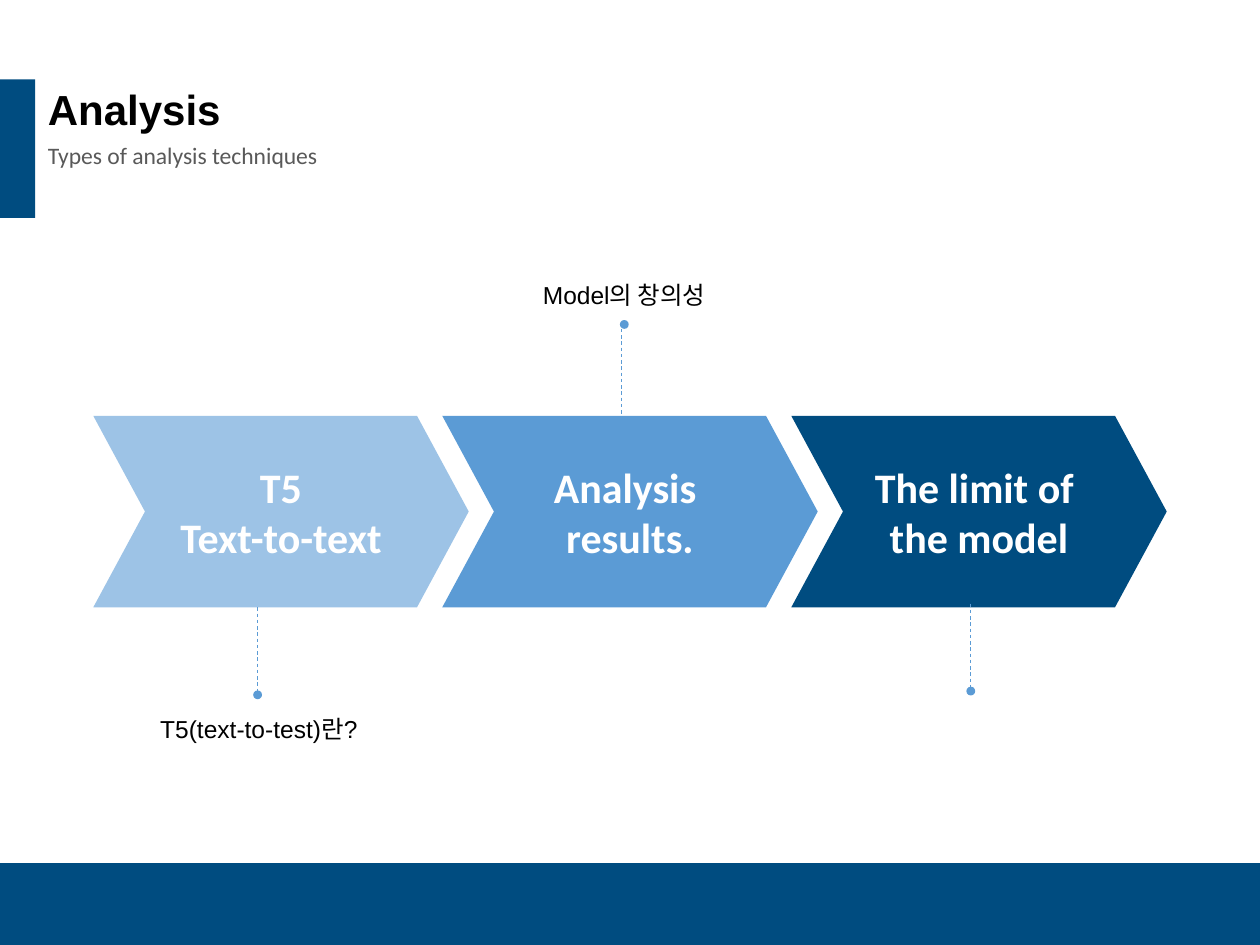
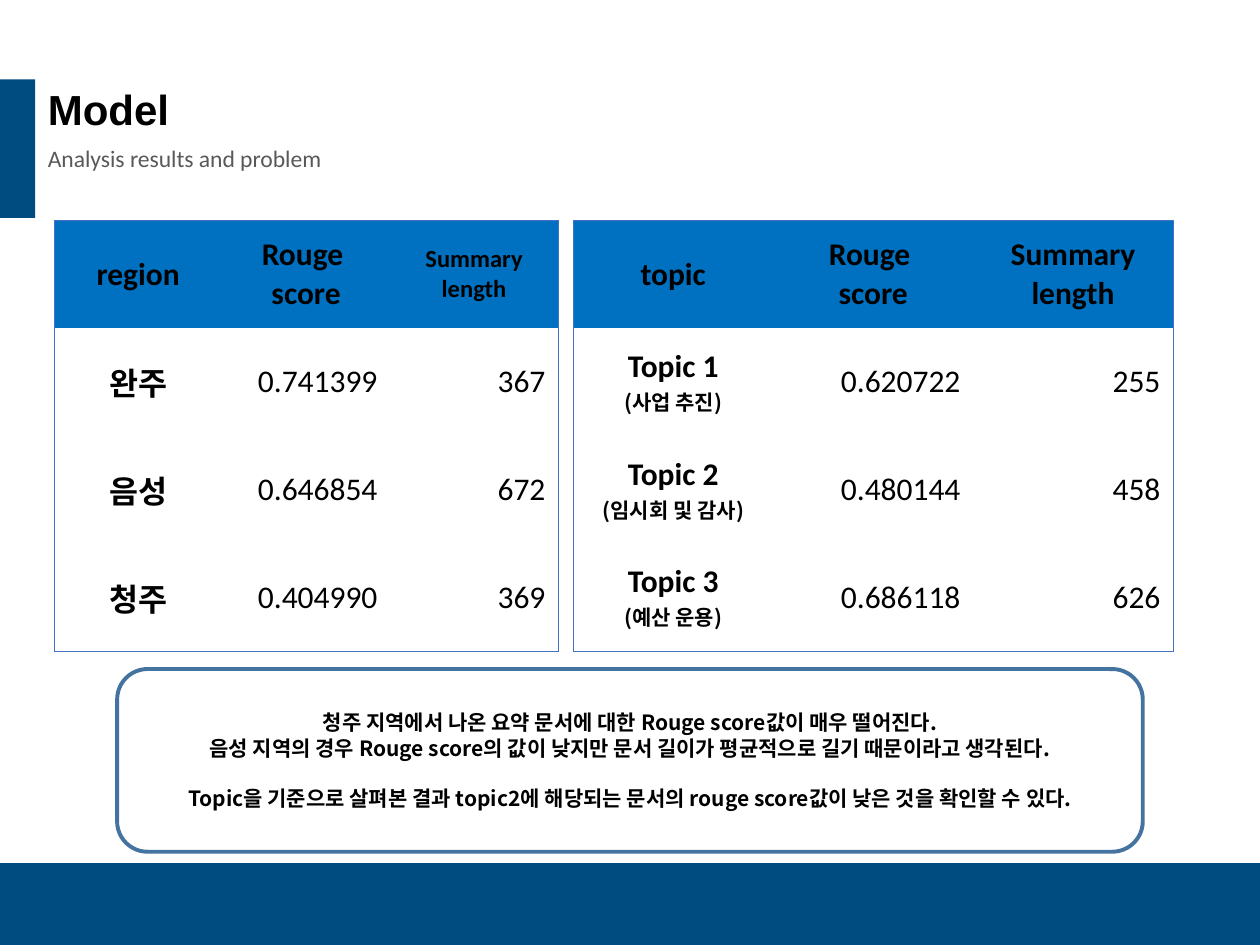
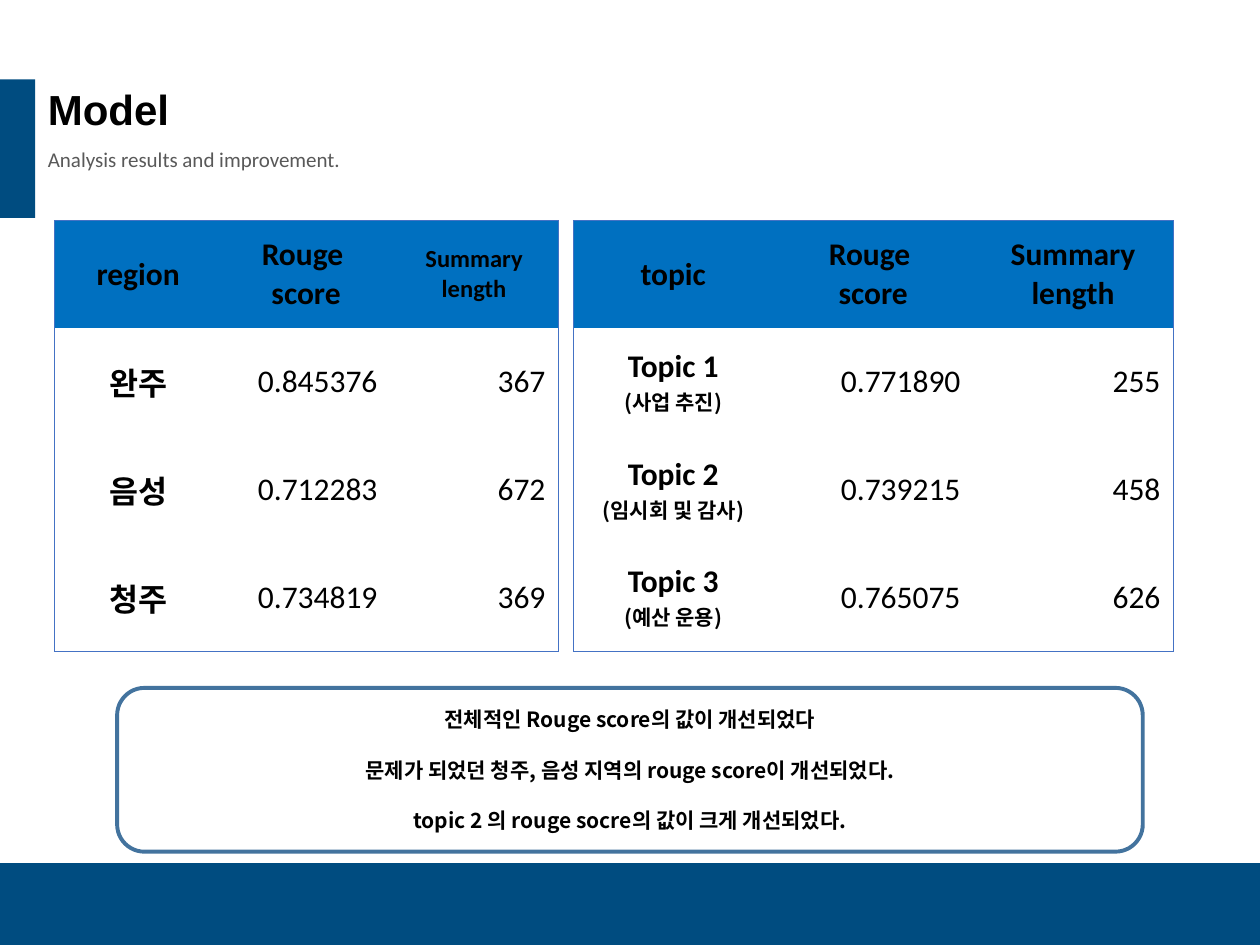
"""Build three slides on text summarisation: analysis steps, model scores and improved scores."""
from dataclasses import dataclass
from typing import NamedTuple, Optional

from lxml.etree import SubElement
from pptx import Presentation
from pptx.dml.color import RGBColor
from pptx.enum.dml import MSO_LINE
from pptx.enum.shapes import MSO_CONNECTOR, MSO_SHAPE as Preset
from pptx.enum.text import MSO_ANCHOR as Anchor, MSO_AUTO_SIZE, PP_ALIGN as Align
from pptx.oxml.ns import qn
from pptx.util import Inches, Pt

COLUMN, ROW = Inches(10) // 100, Inches(7.5) // 75
PLAIN_TABLE_STYLE = "{2D5ABB26-0587-4C30-8999-92F81FD0307C}"


class TextStyle(NamedTuple):
    """Type settings of a line of text."""
    size: float
    font: str = "Calibri"
    color: str = "000000"
    bold: bool = False


@dataclass(frozen=True)
class Theme:
    """Colours and type styles shared by all slides."""
    navy: str = "004C80"
    blue: str = "5B9BD5"
    pale: str = "9DC3E6"
    header: str = "0070C0"
    table_edge: str = "4472C4"
    note_edge: str = "43739E"
    asian_font: str = "Noto Sans CJK KR"
    title: TextStyle = TextStyle(24, "Arial", bold=True)
    step: TextStyle = TextStyle(24, color="FFFFFF", bold=True)
    label: TextStyle = TextStyle(14, "Arial")
    heading: TextStyle = TextStyle(18, bold=True)
    small_heading: TextStyle = TextStyle(14, bold=True)
    value: TextStyle = TextStyle(18)
    note: TextStyle = TextStyle(12, "Noto Sans CJK KR", bold=True)
    muted: str = "595959"
    note_gap: float = 14.4


THEME = Theme()


class Box(NamedTuple):
    """Place in grid columns and rows."""
    column: float
    row: float
    columns: float
    rows: float

    def emu(self) -> tuple[int, int, int, int]:
        """Return left, top, width and height in EMU."""
        return (int(self.column * COLUMN), int(self.row * ROW),
                int(self.columns * COLUMN), int(self.rows * ROW))


class Step(NamedTuple):
    """One chevron of the process."""
    text: str
    fill: str


class Callout(NamedTuple):
    """Dashed leader with its dot and an optional label."""
    column: float
    row: float
    dot_column: float
    dot_row: float
    label: str = ""
    label_box: Optional[Box] = None


class Subtitle(NamedTuple):
    """Line under the title."""
    text: str
    columns: float
    size: float
    spacing: float


class ScoreTable(NamedTuple):
    """Scores and summary lengths for a set of subjects."""
    box: Box
    subject: str
    length_style: TextStyle
    names: tuple[str, ...]
    lengths: tuple[str, ...]


class Conclusion(NamedTuple):
    """Framed remarks; the gapped ones stand apart from the line before."""
    box: Box
    remarks: tuple[str, ...]
    gapped: tuple[int, ...]


class ScoreSlide(NamedTuple):
    """A model slide with scores for regions and topics."""
    subtitle: Subtitle
    region_scores: tuple[str, ...]
    topic_scores: tuple[str, ...]
    conclusion: Conclusion


BANDS = (Box(0, 68.5, 100, 6.5), Box(0, 6.3, 2.8, 11))
TITLE_BOX = Box(2.8, 7.4, 34.4, 2.9)
FIRST_STEP, STEP_PITCH = Box(7.4, 33, 29.8, 15.2), 27.7
LEADER_ROWS, DOT = 6.95, 0.7

STEPS = (
    Step("T5\nText-to-text", THEME.pale),
    Step("Analysis \nresults.", THEME.blue),
    Step("The limit of \nthe model", THEME.navy),
)
CALLOUTS = (
    Callout(20.4, 48.2, 20.1, 54.8, "T5(text-to-test)란?", Box(3.9, 56.2, 33.3, 3.4)),
    Callout(49.3, 26.1, 49.2, 25.4, "Model의 창의성", Box(30.9, 21.7, 37.3, 3.4)),
    Callout(77, 47.9, 76.7, 54.5),
)
REGIONS = ScoreTable(Box(4.3, 17.5, 40, 34.2), "region", THEME.small_heading,
                     ("완주", "음성", "청주"), ("367", "672", "369"))
TOPICS = ScoreTable(Box(45.5, 17.5, 47.6, 34.2), "topic", THEME.heading,
                    ("Topic 1\n(사업 추진)", "Topic 2\n(임시회 및 감사)", "Topic 3\n(예산 운용)"),
                    ("255", "458", "626"))
SCORE_SLIDES = (
    ScoreSlide(
        Subtitle("Analysis results and problem", 24.8, 13.5, 1.1),
        ("0.741399", "0.646854", "0.404990"),
        ("0.620722", "0.480144", "0.686118"),
        Conclusion(Box(9.3, 53.1, 81.4, 14.5), (
            "청주 지역에서 나온 요약 문서에 대한 Rouge score값이 매우 떨어진다.",
            "음성 지역의 경우 Rouge score의 값이 낮지만 문서 길이가 평균적으로 길기 때문이라고 생각된다.",
            "Topic을 기준으로 살펴본 결과 topic2에 해당되는 문서의 rouge score값이 낮은 것을 확인할 수 있다.",
        ), (2,))),
    ScoreSlide(
        Subtitle("Analysis results and improvement.", 27.7, 12, 1.2),
        ("0.845376", "0.712283", "0.734819"),
        ("0.771890", "0.739215", "0.765075"),
        Conclusion(Box(9.3, 54.6, 81.4, 13), (
            "전체적인 Rouge score의 값이 개선되었다",
            "문제가 되었던 청주, 음성 지역의 rouge score이 개선되었다.",
            "topic 2 의 rouge socre의 값이 크게 개선되었다.",
        ), (1, 2))),
)


def rgb(color: str) -> RGBColor:
    """Turn a hex string into a colour."""
    return RGBColor.from_string(color)


def write(frame, text: str, *styles: TextStyle, align: Align = Align.CENTER) -> None:
    """Set the text; the last style also covers any further lines."""
    frame.text = text
    for index, paragraph in enumerate(frame.paragraphs):
        style = styles[min(index, len(styles) - 1)]
        paragraph.alignment = align
        for run in paragraph.runs:
            run.font.size, run.font.bold = Pt(style.size), style.bold
            run.font.color.rgb = rgb(style.color)
            run.font.name = style.font
            SubElement(run.font._element, qn("a:ea"), typeface=THEME.asian_font)


def add_preset(slide, preset: Preset, box: Box, fill: Optional[str] = None):
    """Add a flat preset shape without outline."""
    shape = slide.shapes.add_shape(preset, *box.emu())
    shape.shadow.inherit = False
    shape.line.fill.background()
    if fill:
        shape.fill.solid()
        shape.fill.fore_color.rgb = rgb(fill)
    else:
        shape.fill.background()
    return shape


def fill_placeholder(holder, box: Box, text: str, style: TextStyle, spacing: float) -> None:
    """Move a placeholder and set its single unbulleted line."""
    holder.left, holder.top, holder.width, holder.height = box.emu()
    frame = holder.text_frame
    frame.auto_size, frame.vertical_anchor = MSO_AUTO_SIZE.NONE, Anchor.MIDDLE
    write(frame, text, style, align=Align.LEFT)
    paragraph = frame.paragraphs[0]
    paragraph.line_spacing, paragraph.space_before = spacing, Pt(10)
    properties = paragraph._p.get_or_add_pPr()
    properties.set("marL", "0")
    properties.set("indent", "0")
    SubElement(properties, qn("a:buNone"))


def add_slide(deck, title: str, subtitle: Subtitle):
    """Add a slide with its title and subtitle."""
    slide = deck.slides.add_slide(deck.slide_layouts[1])
    fill_placeholder(slide.shapes.title, TITLE_BOX, title, THEME.title, 0.9)
    fill_placeholder(slide.placeholders[1], Box(2.8, 10.3, subtitle.columns, 4.3), subtitle.text,
                     TextStyle(subtitle.size, color=THEME.muted), subtitle.spacing)
    return slide


def move_bands_to_layout(slide) -> None:
    """Put the navy bands on the layout that all slides share."""
    for box in BANDS:
        band = add_preset(slide, Preset.RECTANGLE, box, THEME.navy)
        slide.slide_layout.shapes.element.insert(2, band.element)


def add_step(slide, index: int, step: Step) -> None:
    """Add one chevron in its place in the row."""
    box = FIRST_STEP._replace(column=FIRST_STEP.column + index * STEP_PITCH)
    chevron = add_preset(slide, Preset.CHEVRON, box, step.fill)
    chevron.adjustments[0] = 0.27
    chevron.text_frame.vertical_anchor = Anchor.MIDDLE
    write(chevron.text_frame, step.text, THEME.step)


def add_callout(slide, callout: Callout) -> None:
    """Add a dashed leader, its dot and its label."""
    left, top, _, height = Box(callout.column, callout.row, 0, LEADER_ROWS).emu()
    leader = slide.shapes.add_connector(MSO_CONNECTOR.STRAIGHT, left, top, left, top + height)
    leader.line.color.rgb = rgb(THEME.blue)
    leader.line.width, leader.line.dash_style = Pt(0.5), MSO_LINE.DASH
    SubElement(leader.element.spPr, qn("a:effectLst"))
    add_preset(slide, Preset.OVAL, Box(callout.dot_column, callout.dot_row, DOT, DOT), THEME.blue)
    if callout.label_box:
        label = slide.shapes.add_textbox(*callout.label_box.emu())
        label.text_frame.word_wrap = True
        write(label.text_frame, callout.label, THEME.label)


def add_edge(cell, side: str) -> None:
    """Draw one border of a cell; sides are L, R, T and B."""
    edge = SubElement(cell._tc.get_or_add_tcPr(), qn(f"a:ln{side}"), w=str(Pt(0.5)))
    fill = SubElement(edge, qn("a:solidFill"))
    SubElement(fill, qn("a:srgbClr"), val=THEME.table_edge)


def add_score_table(slide, scores: ScoreTable, values: tuple[str, ...]) -> None:
    """Add a framed table with a filled header row."""
    rows = [(scores.subject, "Rouge \nscore", "Summary\nlength"),
            *zip(scores.names, values, scores.lengths)]
    last_row, last_column = len(rows) - 1, len(rows[0]) - 1
    table = slide.shapes.add_table(len(rows), len(rows[0]), *scores.box.emu()).table
    table.horz_banding = False
    table._tbl.tblPr.find(qn("a:tableStyleId")).text = PLAIN_TABLE_STYLE
    for r, row in enumerate(rows):
        for c, text in enumerate(row):
            cell = table.cell(r, c)
            cell.vertical_anchor = Anchor.MIDDLE
            outer = {"L": c == 0, "R": c == last_column, "T": r == 0, "B": r == last_row}
            for side in (side for side, shown in outer.items() if shown):
                add_edge(cell, side)
            if r == 0:
                cell.fill.solid()
                cell.fill.fore_color.rgb = rgb(THEME.header)
                write(cell.text_frame, text,
                      scores.length_style if c == last_column else THEME.heading)
            else:
                cell.fill.background()
                if c == 0:
                    write(cell.text_frame, text, THEME.heading, THEME.note)
                else:
                    write(cell.text_frame, text, THEME.value, align=Align.RIGHT)


def add_conclusion(slide, conclusion: Conclusion) -> None:
    """Add the rounded frame with its remarks."""
    frame = add_preset(slide, Preset.ROUNDED_RECTANGLE, conclusion.box)
    frame.line.color.rgb = rgb(THEME.note_edge)
    frame.line.width = Pt(2.25)
    frame.text_frame.vertical_anchor = Anchor.MIDDLE
    write(frame.text_frame, "\n".join(conclusion.remarks), THEME.note)
    for index in conclusion.gapped:
        frame.text_frame.paragraphs[index].space_before = Pt(THEME.note_gap)


def main() -> None:
    """Build and save the slides."""
    deck = Presentation()
    deck.slide_width, deck.slide_height = 100 * COLUMN, 75 * ROW

    analysis = add_slide(deck, "Analysis", Subtitle("Types of analysis techniques", 24.8, 13.5, 0.9))
    move_bands_to_layout(analysis)
    for index, step in enumerate(STEPS):
        add_step(analysis, index, step)
    for callout in CALLOUTS:
        add_callout(analysis, callout)

    for content in SCORE_SLIDES:
        slide = add_slide(deck, "Model", content.subtitle)
        add_score_table(slide, REGIONS, content.region_scores)
        add_score_table(slide, TOPICS, content.topic_scores)
        add_conclusion(slide, content.conclusion)

    deck.save("out.pptx")


if __name__ == "__main__":
    main()
